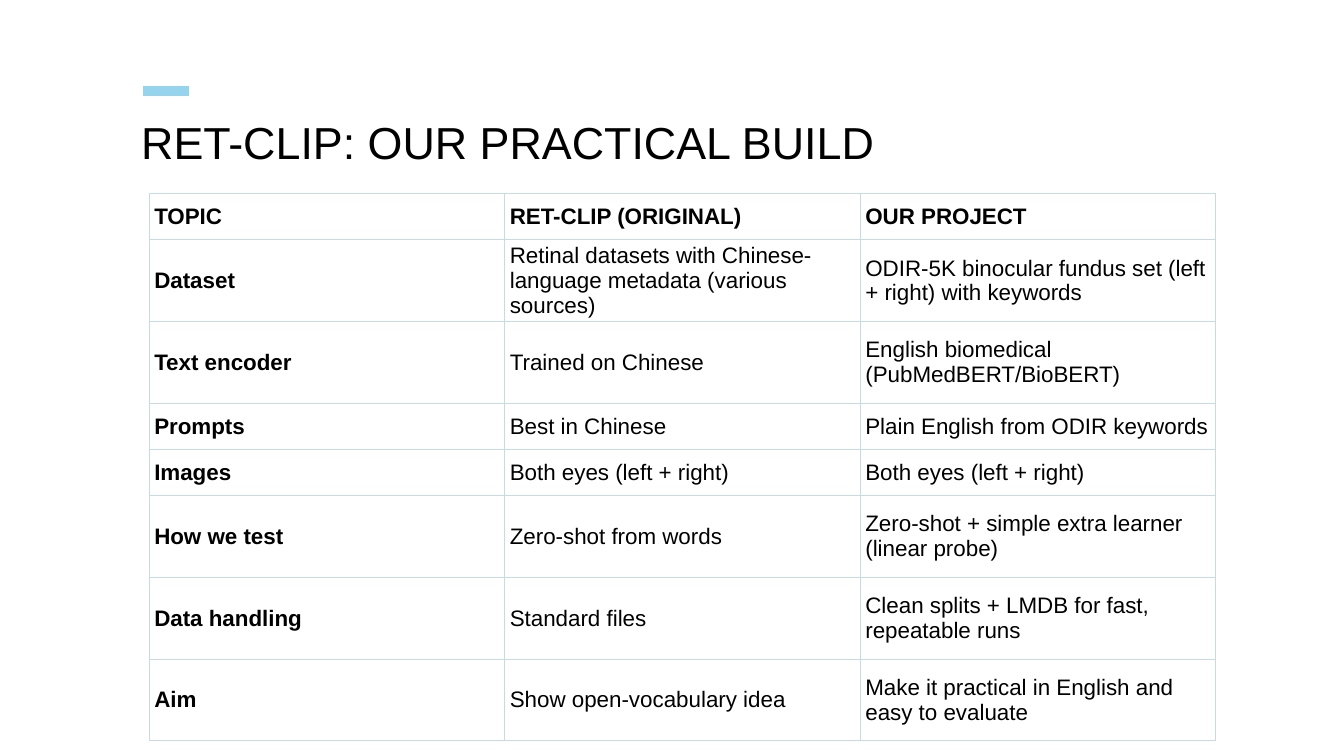
from dataclasses import dataclass

import lxml.etree
import pptx
import pptx.dml.color
import pptx.enum.shapes
import pptx.enum.text
import pptx.oxml.ns
import pptx.util

Inches = pptx.util.Inches
Pt = pptx.util.Pt
Anchor = pptx.enum.text.MSO_ANCHOR


@dataclass(frozen=True)
class Theme:
    """Hold the colours, font and sizes of the slide."""
    face: str = "Arial"
    ink: str = "000000"
    paper: str = "FFFFFF"
    accent: str = "96D3ED"
    grid: str = "C7DBE1"
    head: int = 32
    body: int = 16
    rule: float = 7
    edge: float = 0.75


THEME = Theme()
ROWS = [
    ("TOPIC", "RET-CLIP (ORIGINAL)", "OUR PROJECT"),
    ("Dataset", "Retinal datasets with Chinese-language metadata (various sources)",
     "ODIR-5K binocular fundus set (left + right) with keywords"),
    ("Text encoder", "Trained on Chinese", "English biomedical (PubMedBERT/BioBERT)"),
    ("Prompts", "Best in Chinese", "Plain English from ODIR keywords"),
    ("Images", "Both eyes (left + right)", "Both eyes (left + right)"),
    ("How we test", "Zero-shot from words", "Zero-shot + simple extra learner (linear probe)"),
    ("Data handling", "Standard files", "Clean splits + LMDB for fast, repeatable runs"),
    ("Aim", "Show open-vocabulary idea", "Make it practical in English and easy to evaluate"),
]
SHORT, TALL = 0.46, 0.81
SINGLE = ("TOPIC", "Prompts", "Images")


def apply(item, values):
    """Set each named value on an item."""
    for name, value in values.items():
        setattr(item, name, value)


def tint(code):
    """Turn a hex code into a colour."""
    return pptx.dml.color.RGBColor.from_string(code)


def style(font, size, bold):
    """Format a font in the theme face and ink."""
    apply(font, {"name": THEME.face, "size": Pt(size), "bold": bold})
    font.color.rgb = tint(THEME.ink)


def border(cell):
    """Draw a thin line on all four sides of a cell."""
    props = cell._tc.get_or_add_tcPr()
    qn = pptx.oxml.ns.qn
    for side in ("a:lnL", "a:lnR", "a:lnT", "a:lnB"):
        line = lxml.etree.SubElement(props, qn(side), w=str(Pt(THEME.edge)))
        fill = lxml.etree.SubElement(line, qn("a:solidFill"))
        lxml.etree.SubElement(fill, qn("a:srgbClr"), val=THEME.grid)


def add_mark(slide, left, top, width):
    """Draw the short accent rule above the title."""
    mark = slide.shapes.add_connector(
        pptx.enum.shapes.MSO_CONNECTOR.STRAIGHT,
        Inches(left), Inches(top), Inches(left + width), Inches(top))
    mark.line.color.rgb = tint(THEME.accent)
    mark.line.width = Pt(THEME.rule)
    lxml.etree.SubElement(mark._element.spPr, pptx.oxml.ns.qn("a:effectLst"))


def add_title(slide, text, left, top, width, height):
    """Place and format the title."""
    title = slide.shapes.title
    apply(title, {"left": Inches(left), "top": Inches(top),
                  "width": Inches(width), "height": Inches(height)})
    frame = title.text_frame
    apply(frame, {"text": text, "word_wrap": True, "vertical_anchor": Anchor.TOP,
                  "auto_size": pptx.enum.text.MSO_AUTO_SIZE.NONE,
                  "margin_left": 0, "margin_right": 0,
                  "margin_top": 0, "margin_bottom": 0})
    para = frame.paragraphs[0]
    apply(para, {"alignment": pptx.enum.text.PP_ALIGN.LEFT, "line_spacing": 0.9})
    style(para.runs[0].font, THEME.head, False)


def fill_cell(cell, text, bold):
    """Write one table cell with its border and margins."""
    apply(cell, {"text": text, "vertical_anchor": Anchor.MIDDLE,
                 "margin_left": Inches(0.05), "margin_right": Inches(0.05),
                 "margin_top": Inches(0.02), "margin_bottom": Inches(0.02)})
    style(cell.text_frame.paragraphs[0].runs[0].font, THEME.body, bold)
    border(cell)
    cell.fill.background()


def add_grid(slide, rows, left, top, width):
    """Place the comparison table with equal columns."""
    highs = [SHORT if row[0] in SINGLE else TALL for row in rows]
    count = len(rows[0])
    table = slide.shapes.add_table(
        len(rows), count, Inches(left), Inches(top),
        Inches(width), Inches(sum(highs))).table
    apply(table, {"first_row": False, "horz_banding": False})
    for col in table.columns:
        col.width = Inches(width / count)
    for i, row in enumerate(rows):
        table.rows[i].height = Inches(highs[i])
        for j, text in enumerate(row):
            fill_cell(table.cell(i, j), text, i == 0 or j == 0)


def main():
    """Build and save the slide."""
    deck = pptx.Presentation()
    apply(deck, {"slide_width": Inches(13.33), "slide_height": Inches(7.5)})
    slide = deck.slides.add_slide(deck.slide_layouts[5])
    fill = slide.background.fill
    fill.solid()
    fill.fore_color.rgb = tint(THEME.paper)
    add_mark(slide, 1.42, 0.9, 0.45)
    add_title(slide, "RET-CLIP: OUR PRACTICAL BUILD", 1.4, 1.2, 10.74, 1)
    add_grid(slide, ROWS, 1.48, 1.92, 10.58)
    deck.save("out.pptx")


if __name__ == "__main__":
    main()
